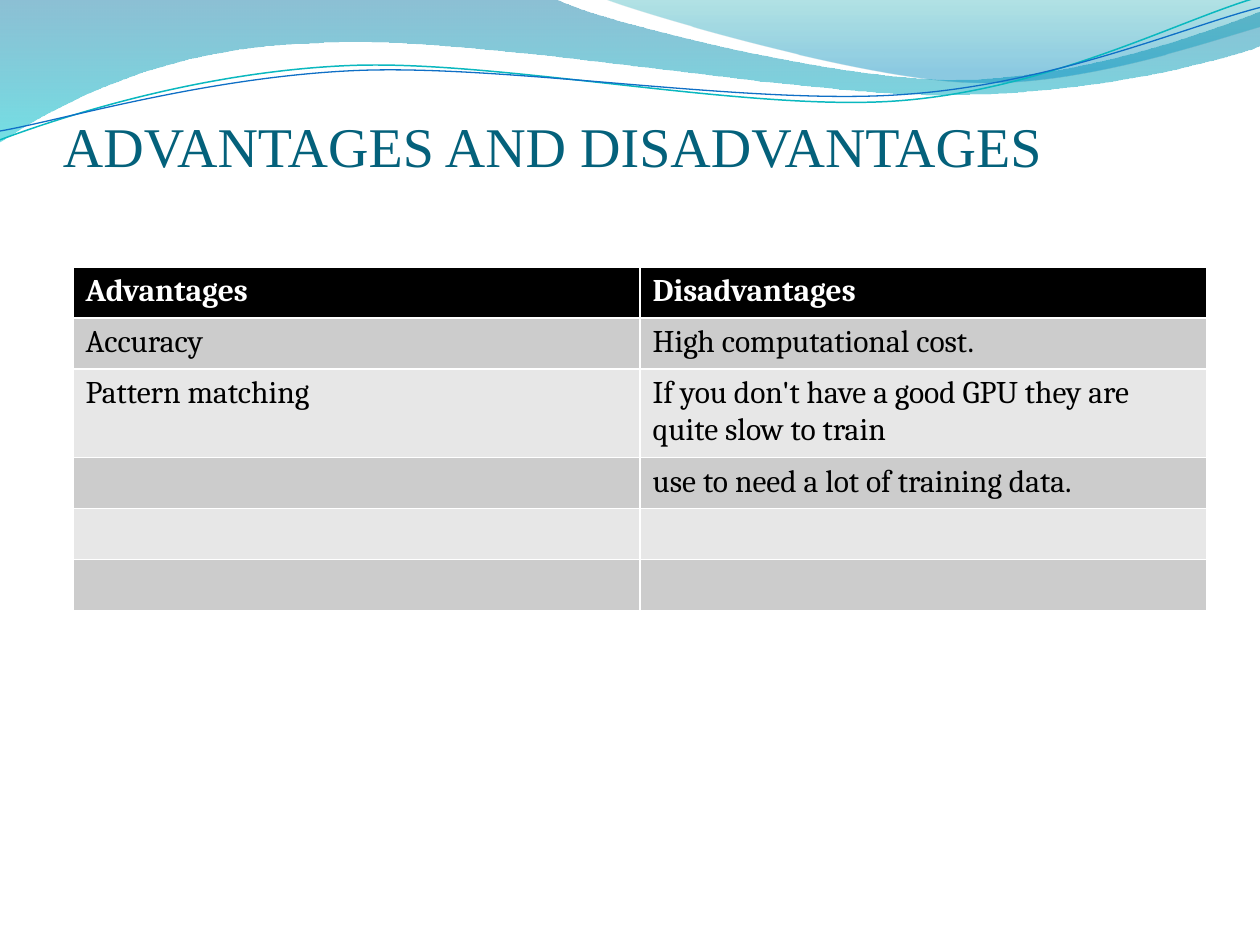
import math
from pptx import Presentation, util as u
from pptx.dml.color import RGBColor
from pptx.enum import text
from pptx.oxml.ns import qn
from lxml import etree

TITLE = "ADVANTAGES AND DISADVANTAGES"
ROWS = [
    ("Advantages", "Disadvantages"),
    ("Accuracy", "High computational cost."),
    ("Pattern matching",
     "If you don't have a good GPU they are quite slow to train"),
    ("", "use to need a lot of training data."),
    ("", ""),
    ("", ""),
]
BANDS = "E7E7E7", "CCCCCC"

# A pair is a straight step; six numbers are a Bezier curve.
# Gradient stops: place, colour, percent opaque.
BACK = {
    "steps": [(0, 0), (4.4, -0.01), (4.76, 0.17, 6.64, 0.63, 7.58, 0.63),
              (8.53, 0.63, 9.58, 0.26, 10, 0.09), (10.01, 0.36),
              (9.83, 0.44, 8.7, 0.76, 7.46, 0.75),
              (6.22, 0.75, 3.82, 0.28, 2.57, 0.34),
              (1.29, 0.36, 0.46, 0.83, -0.01, 1.13), (0, 0)],
    "stops": [(0, "0074A1", 45), (1, "00C6CF", 55)],
}
FRONT = {
    "steps": [(4.79, -0.01), (5.09, 0.11, 6.82, 0.62, 7.69, 0.65),
              (8.56, 0.69, 9.61, 0.32, 10, 0.21), (10, 0), (4.79, -0.01)],
    "stops": [(0, "00A1A9", 30), (0.8, "008BBF", 45)],
}
TEAL = {
    "steps": [(0, 1.11), (0.48, 0.93, 1.58, 0.57, 2.77, 0.52),
              (3.95, 0.47, 5.93, 0.89, 7.13, 0.8),
              (8.33, 0.71, 9.38, 0.15, 9.98, -0.02)],
    "line": ("0AB8BF", 0.85), "mid": (4.99, 0.58), "tilt": -2.7,
}
BLUE = {
    "steps": [(0, 1.04), (0.47, 0.96, 1.64, 0.61, 2.83, 0.56),
              (4.03, 0.51, 5.97, 0.84, 7.17, 0.75),
              (8.36, 0.67, 9.41, 0.21, 10, 0.06)],
    "line": ("0F6FC6", 0.75), "mid": (5, 0.59), "tilt": -2.7,
}


def rgb(code):
    return RGBColor.from_string(code)


def turn(point, mid, angle):
    """Turn a point clockwise about mid."""
    dx, dy = point[0] - mid[0], point[1] - mid[1]
    cos, sin = math.cos(math.radians(angle)), math.sin(math.radians(angle))
    return mid[0] + dx * cos - dy * sin, mid[1] + dx * sin + dy * cos


def bend(shape, steps):
    """Gather the points of each curved step into one Bezier curve."""
    legs = iter(list(shape.element.iter(qn("a:lnTo"))))
    for step in steps[1:]:
        leg = next(legs)
        if len(step) == 6:
            leg.tag = qn("a:cubicBezTo")
            for _ in range(2):
                extra = next(legs)
                leg.append(extra[0])
                extra.getparent().remove(extra)


def wave(slide, steps, stops=None, line=None, mid=(0, 0), tilt=0):
    pts = [turn(step[i:i + 2], mid, -tilt)
           for step in steps for i in range(0, len(step), 2)]
    pts = [(u.Inches(x), u.Inches(y)) for x, y in pts]
    pen = slide.shapes.build_freeform(*pts[0])
    pen.add_line_segments(pts[1:], close=bool(stops))
    shape = pen.convert_to_shape()
    bend(shape, steps)
    shape.rotation = tilt
    shape.shadow.inherit = False
    if line:
        shape.fill.background()
        shape.line.color.rgb = rgb(line[0])
        shape.line.width = u.Pt(line[1])
        return
    shape.line.fill.background()
    shape.fill.gradient()
    shape.fill.gradient_angle = 270
    for stop, (place, code, _) in zip(shape.fill.gradient_stops, stops):
        stop.position = place
        stop.color.rgb = rgb(code)
    tints = shape.element.spPr.iter(qn("a:srgbClr"))
    for tint, (_, _, part) in zip(tints, stops):
        etree.SubElement(tint, qn("a:alpha")).set("val", str(part * 1000))


def style(font, code, **look):
    font.color.rgb = rgb(code)
    for key, val in look.items():
        setattr(font, key, val)


def grid(slide):
    place = [u.Inches(n) for n in (0.58, 2.12, 9, 2.43)]
    table = slide.shapes.add_table(len(ROWS), 2, *place).table
    for r, row in enumerate(ROWS):
        for c, words in enumerate(row):
            cell = table.cell(r, c)
            cell.text = words
            cell.fill.solid()
            cell.fill.fore_color.rgb = rgb(BANDS[r % 2] if r else "000000")
            style(cell.text_frame.paragraphs[0].font,
                  "000000" if r else "FFFFFF",
                  name="Cambria", size=u.Pt(18), bold=r == 0)


def head(slide):
    place = [u.Inches(n) for n in (0.5, 0.77, 9, 0.65)]
    frame = slide.shapes.add_textbox(*place).text_frame
    look = {"word_wrap": True, "vertical_anchor": text.MSO_ANCHOR.BOTTOM,
            "margin_left": 0, "margin_right": 0, "margin_bottom": 0,
            "margin_top": u.Inches(0.05), "text": TITLE}
    for key, val in look.items():
        setattr(frame, key, val)
    style(frame.paragraphs[0].font, "04617B",
          name="Times New Roman", size=u.Pt(32))


def main():
    deck = Presentation()
    deck.slide_width, deck.slide_height = u.Inches(10), u.Inches(7.5)
    slide = deck.slides.add_slide(deck.slide_layouts[6])
    for part in (BACK, FRONT, TEAL, BLUE):
        wave(slide, **part)
    head(slide)
    grid(slide)
    deck.save("out.pptx")


if __name__ == "__main__":
    main()
